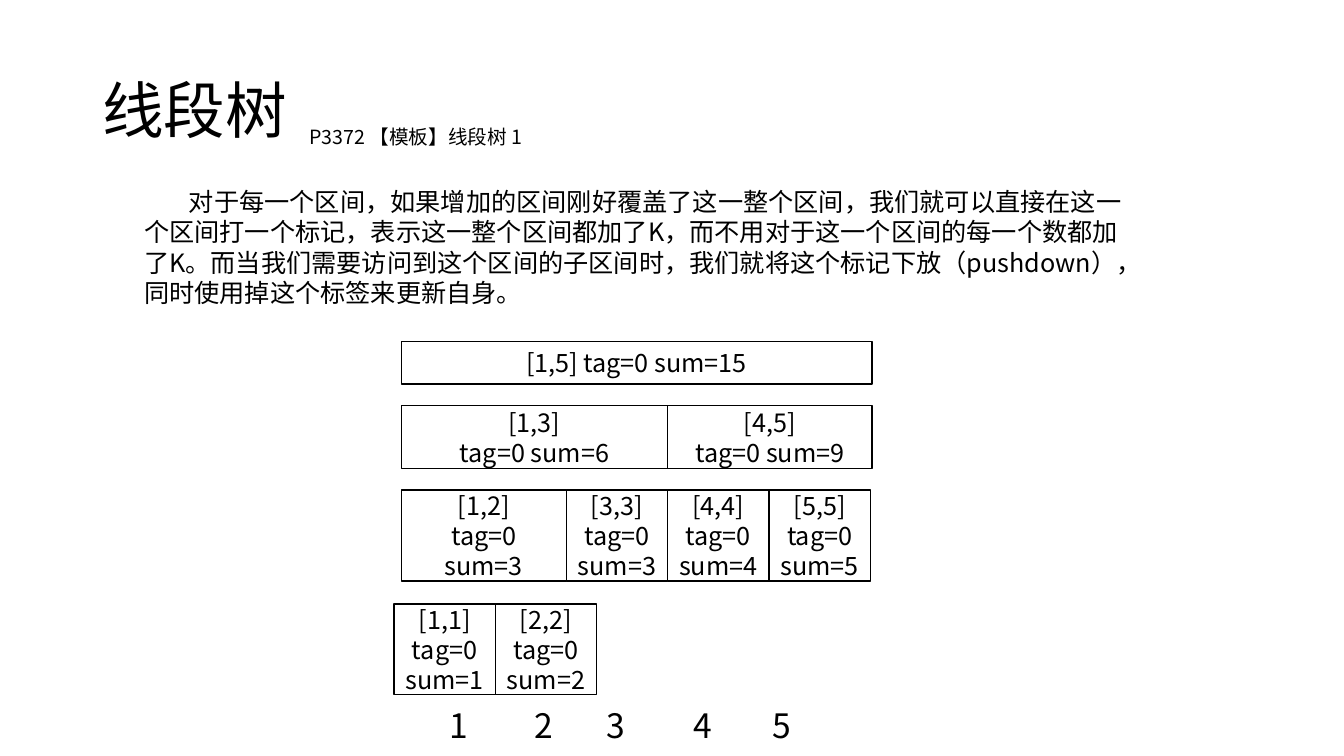
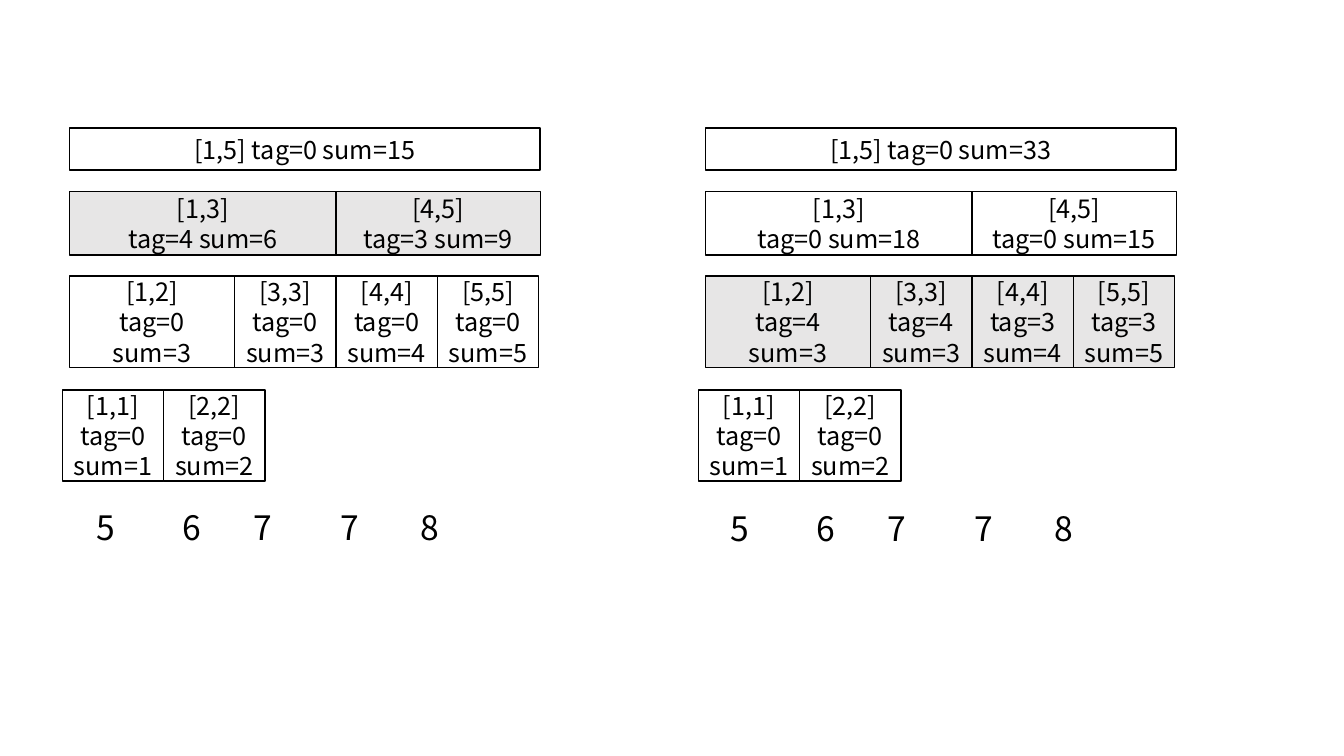
from pptx import Presentation
from pptx.dml.color import RGBColor
from pptx.enum.shapes import MSO_SHAPE
from pptx.enum.text import MSO_ANCHOR, PP_ALIGN
from pptx.oxml.ns import qn
from pptx.util import Pt
from lxml.etree import SubElement

ROWS = [
    (0, 30.2, 0, [336.2]),
    (45.4, 45.4, 0, [190.3, 146]),
    (105.8, 65.2, 0, [117.9, 72.4, 72.4, 72.4]),
    (187.2, 65, -5.2, [72.4, 72.4]),
]
RANGES = [[(1, 5)], [(1, 3), (4, 5)], [(1, 2), (3, 3), (4, 4), (5, 5)], [(1, 1), (2, 2)]]
DIGIT_INSET = 23
DIGIT_TABS = [61, 112, 174, 231]

BODY = (
    "对于每一个区间，如果增加的区间刚好覆盖了这一整个区间，我们就可以直接在这一个区间打一个标记，"
    "表示这一整个区间都加了K，而不用对于这一个区间的每一个数都加了K。"
    "而当我们需要访问到这个区间的子区间时，我们就将这个标记下放（pushdown），"
    "同时使用掉这个标签来更新自身。"
)


def color(hex_value):
    return RGBColor.from_string(hex_value)


class Deck:
    FONT = "Noto Sans CJK SC"
    INK = "000000"
    SHADE = "E7E6E6"

    def __init__(self):
        self.prs = Presentation()
        self.prs.slide_width, self.prs.slide_height = Pt(960), Pt(540)
        self.slide = None

    def new_slide(self):
        self.slide = self.prs.slides.add_slide(self.prs.slide_layouts[6])

    def fill_text(self, tf, lines, size, frame=None, para=None):
        for name, value in {"word_wrap": True, **(frame or {})}.items():
            setattr(tf, name, value)
        for i, line in enumerate(lines):
            p = tf.paragraphs[0] if i == 0 else tf.add_paragraph()
            for name, value in (para or {}).items():
                setattr(p, name, value)
            r = p.add_run()
            r.text = line
            for name, value in {"name": self.FONT, "size": Pt(size)}.items():
                setattr(r.font, name, value)
            r.font.color.rgb = color(self.INK)
            SubElement(r._r.get_or_add_rPr(), qn("a:ea"), typeface=self.FONT)

    def text(self, x, y, w, h, text, size, frame=None, para=None):
        sp = self.slide.shapes.add_textbox(Pt(x), Pt(y), Pt(w), Pt(h))
        self.fill_text(sp.text_frame, [text], size, frame, para)
        return sp.text_frame.paragraphs[0]

    def title(self, text):
        self.text(66, 28.8, 828, 104.4, text, 44,
                  {"vertical_anchor": MSO_ANCHOR.MIDDLE}, {"line_spacing": 0.9})

    def body(self, x, y, w, h, text, first_indent):
        p = self.text(x, y, w, h, text, 18)
        p._p.get_or_add_pPr().set("indent", str(Pt(first_indent)))

    def digits(self, x, y, values):
        p = self.text(x, y, 339, 36, "\t".join(map(str, values)), 24,
                      {"margin_left": Pt(DIGIT_INSET)})
        tabs = SubElement(p._p.get_or_add_pPr(), qn("a:tabLst"))
        for stop in DIGIT_TABS:
            SubElement(tabs, qn("a:tab"), pos=str(Pt(stop)), algn="l")

    def node(self, x, y, w, h, lines, shaded):
        sp = self.slide.shapes.add_shape(MSO_SHAPE.RECTANGLE, Pt(x), Pt(y), Pt(w), Pt(h))
        sp.shadow.inherit = False
        if shaded:
            sp.fill.solid()
            sp.fill.fore_color.rgb = color(self.SHADE)
        else:
            sp.fill.background()
        sp.line.color.rgb = color(self.INK)
        sp.line.width = Pt(1)
        self.fill_text(sp.text_frame, lines, 18, {"vertical_anchor": MSO_ANCHOR.MIDDLE},
                       {"alignment": PP_ALIGN.CENTER})

    def tree(self, x, y, tags, sums, shaded_row=None):
        for row, (dy, h, dx, widths) in enumerate(ROWS):
            left = x + dx
            for (lo, hi), w, tag, total in zip(RANGES[row], widths, tags[row], sums[row]):
                lines = [f"[{lo},{hi}]", f"tag={tag} sum={total}"]
                if row == 0 or lo == hi:
                    lines = [" ".join(lines)]
                self.node(left, y + dy, w, h, lines, row == shaded_row)
                left += w


def main():
    deck = Deck()
    no_tags = [[0], [0, 0], [0, 0, 0, 0], [0, 0]]
    start_sums = [[15], [6, 9], [3, 3, 4, 5], [1, 2]]

    deck.new_slide()
    deck.title("线段树")
    deck.text(213.8, 85.7, 189.4, 24.5, "P3372 【模板】线段树 1", 14)
    deck.body(95.8, 129.6, 720, 94.3, BODY, 32)
    deck.tree(286.6, 244.1, no_tags, start_sums)
    deck.digits(298.1, 499.7, [1, 2, 3, 4, 5])

    deck.new_slide()
    deck.tree(49.7, 91.4, [[0], [4, 3], *no_tags[2:]], start_sums, 1)
    deck.tree(504, 91.4, [[0], [0, 0], [4, 4, 3, 3], [0, 0]],
              [[33], [18, 15], *start_sums[2:]], 2)
    for x, y in [(46.1, 358.6), (499, 359.3)]:
        deck.digits(x, y, [5, 6, 7, 7, 8])

    deck.prs.save("out.pptx")


if __name__ == "__main__":
    main()
